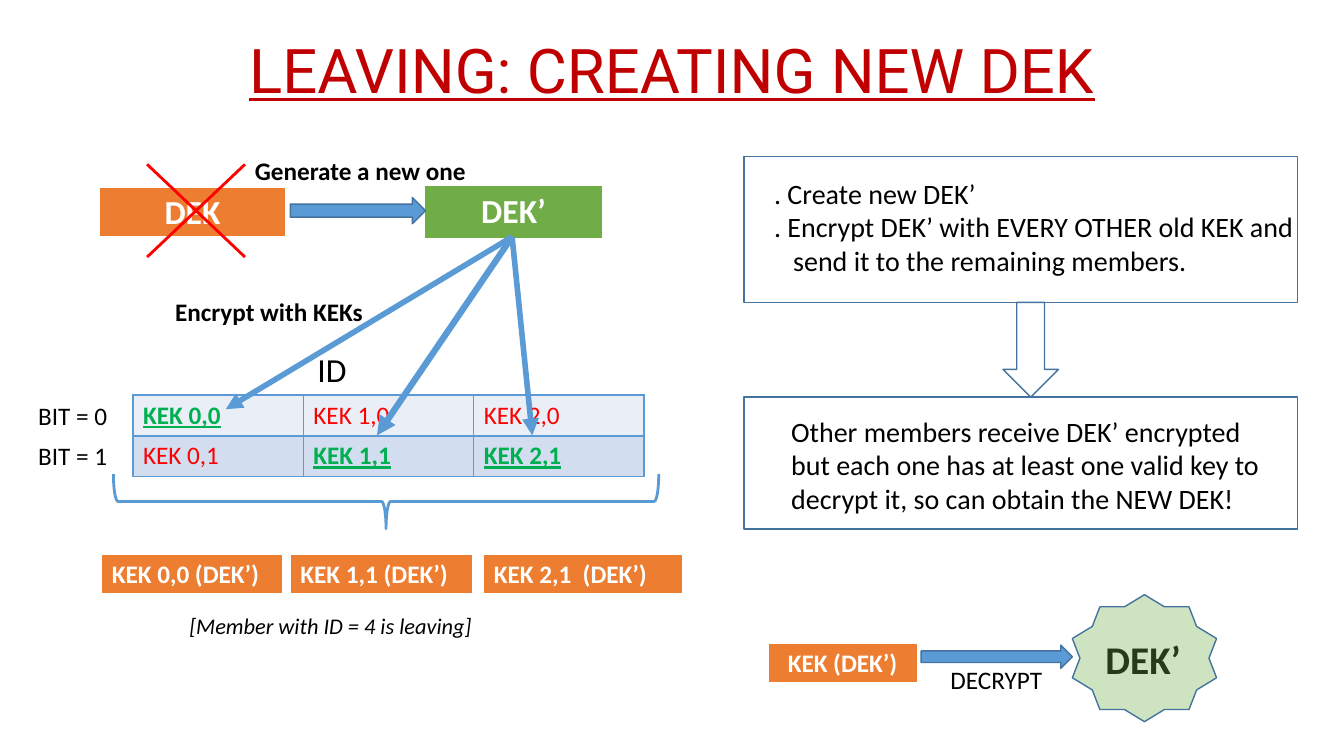
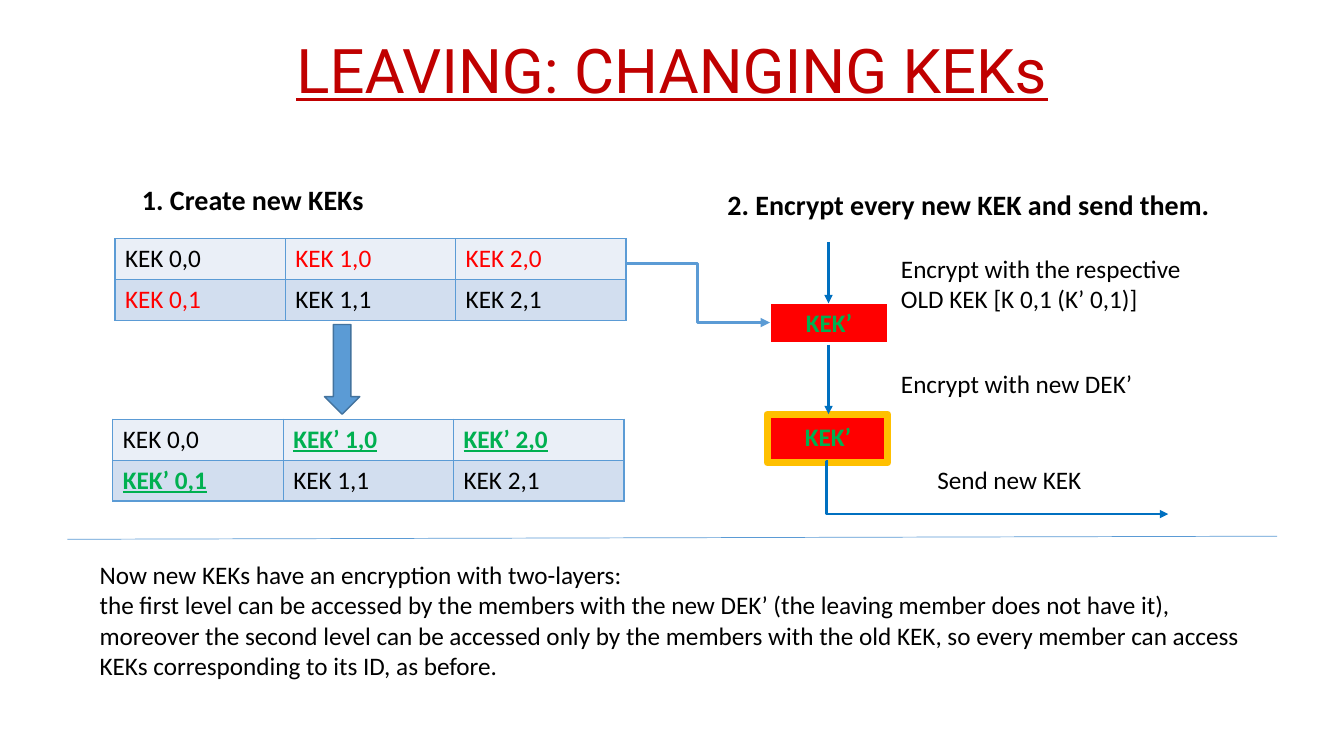
"""Build two slides on key renewal when a member leaves a group."""
from dataclasses import dataclass

from lxml import etree
from pptx import Presentation
from pptx.dml.color import RGBColor
from pptx.enum.shapes import MSO_CONNECTOR, MSO_SHAPE
from pptx.enum.text import MSO_ANCHOR, PP_ALIGN
from pptx.oxml.ns import qn
from pptx.util import Pt

LEFT, CENTER = PP_ALIGN.LEFT, PP_ALIGN.CENTER
MIDDLE = MSO_ANCHOR.MIDDLE
STRAIGHT, ELBOW = MSO_CONNECTOR.STRAIGHT, MSO_CONNECTOR.ELBOW
RECT, STAR, BRACE = MSO_SHAPE.RECTANGLE, MSO_SHAPE.STAR_10_POINT, MSO_SHAPE.LEFT_BRACE
RIGHT_ARROW, DOWN_ARROW = MSO_SHAPE.RIGHT_ARROW, MSO_SHAPE.DOWN_ARROW


@dataclass(frozen=True)
class Theme:
    title_font: str = "Roboto"
    body_font: str = "Calibri"
    title_size: float = 44
    badge_size: float = 28
    key_size: float = 24
    lead_size: float = 20
    body_size: float = 18
    note_size: float = 16
    title: str = "C00000"
    text: str = "000000"
    white: str = "FFFFFF"
    red: str = "FF0000"
    valid: str = "00B050"
    blue: str = "5B9BD5"
    outline: str = "43739E"
    flow: str = "0070C0"
    orange: str = "ED7D31"
    green: str = "70AD47"
    gold: str = "FFC000"
    bands: tuple = ("EAEFF7", "D2DEEF")


T = Theme()
ROW, COLUMN = 29.2, 121.7
PLAIN = {}
REVOKED = dict(color=T.red)
VALID = dict(color=T.valid, bold=True, underline=True)
KEY = dict(size=T.key_size, color=T.white, bold=True, align=CENTER)
PAYLOAD = dict(color=T.white, bold=True)
RENEWED = dict(color=T.valid, bold=True, align=CENTER)
LEAD = dict(size=T.lead_size)
HEADING = dict(size=T.lead_size, bold=True)
BOLD = dict(bold=True)


def write(frame, text, size=T.body_size, color=T.text, bold=False, italic=False,
          underline=False, font=T.body_font, align=LEFT, spacing=None, hang=0):
    """Fill a frame, one paragraph a line; a vertical bar breaks a line inside one."""
    for index, line in enumerate(text.split("\n")):
        paragraph = frame.add_paragraph() if index else frame.paragraphs[0]
        paragraph.alignment = align
        if spacing:
            paragraph.line_spacing = spacing
        if hang:
            properties = paragraph._p.get_or_add_pPr()
            properties.set("marL", str(Pt(hang)))
            properties.set("indent", str(-Pt(hang)))
        for part, words in enumerate(line.split("|")):
            if part:
                paragraph.add_line_break()
            run = paragraph.add_run()
            run.text = words
            run.font.name, run.font.size = font, Pt(size)
            run.font.bold, run.font.italic, run.font.underline = bold, italic, underline
            run.font.color.rgb = RGBColor.from_string(color)


def child(parent, tag, **attributes):
    """Append a drawing element with the given attributes."""
    return etree.SubElement(parent, qn(tag), {k: str(v) for k, v in attributes.items()})


leaving = dict(
    title="LEAVING: CREATING NEW DEK",
    key_grids=[
        (95, 282.2, [[("KEK 0,0", VALID), ("KEK 1,0", REVOKED), ("KEK 2,0", REVOKED)],
                     [("KEK 0,1", REVOKED), ("KEK 1,1", VALID), ("KEK 2,1", VALID)]]),
    ],
    key_boxes=[
        (71.3, 133.9, 132.5, 36, "DEK", KEY, T.orange, T.white),
        (303.8, 133.2, 126, 36, "DEK’", KEY, T.green, T.green),
        (548.6, 459.4, 106.6, ROW, "KEK (DEK’)", dict(PAYLOAD, align=CENTER), T.orange, T.white),
        (72.7, 396, 128.9, ROW, "KEK 0,0 (DEK’)", PAYLOAD, T.orange, T.white),
        (207.4, 396, 130.3, ROW, "KEK 1,1 (DEK’)", PAYLOAD, T.orange, T.white),
        (345.6, 396, 141.8, ROW, "KEK 2,1  (DEK’)", PAYLOAD, T.orange, T.white),
    ],
    labels=[
        (545.8, 122.4, 392.4, 104.4, ". Create new DEK’\n. Encrypt DEK’ with EVERY OTHER old KEK and|"
         "send it to the remaining members.", dict(LEAD, hang=13.6)),
        (558, 292.3, 356.4, 79.9, "Other members receive DEK’ encrypted\n"
         "but each one has at least one valid key to\n"
         "decrypt it, so can obtain the NEW DEK!", LEAD),
        (782.6, 450, 69.1, 41, "DEK’", dict(size=T.badge_size, bold=True)),
        (20.2, 282.2, 70.6, 29, "BIT = 0", PLAIN),
        (20.2, 311, 70.6, 29, "BIT = 1", PLAIN),
        (219.6, 245.5, 35.3, 36, "ID", dict(size=T.key_size)),
        (671.8, 470.9, 80.6, 29, "DECRYPT", PLAIN),
        (128.2, 433.4, 218.9, 26.6, "[Member with ID = 4 is leaving]",
         dict(size=T.note_size, italic=True)),
        (175, 107.3, 166.3, 29, "Generate a new one", BOLD),
        (118, 208, 149.8, 29, "Encrypt with KEKs", BOLD),
    ],
    figures=[
        (DOWN_ARROW, 716.4, 216, 39.6, 67.7, None, 100, T.outline, 1, 0),
        (RIGHT_ARROW, 658, 460.8, 108, 16.6, T.blue, 100, T.outline, 1, 0),
        (RECT, 531.4, 111.6, 395.3, 104.4, None, 100, T.outline, 1, 0),
        (RECT, 531.4, 283.7, 395.3, 94.3, None, 100, T.outline, 1, 0),
        (STAR, 766, 424.8, 103, 90.7, T.green, 34, T.outline, 1, 0),
        (RIGHT_ARROW, 207.4, 141.1, 96.5, 18.7, T.blue, 100, T.outline, 1, 0),
        (BRACE, 256.3, 163.4, 38.9, 389.5, None, 100, T.blue, 2, 270),
    ],
    links=[
        (105.1, 117.4, 175, 183.6, T.red, 2, False, None),
        (105.1, 183.6, 175, 117.4, T.red, 2, False, None),
        (365.8, 169.2, 380.2, 311, T.blue, 4, True, None),
        (365.8, 169.2, 269.3, 311, T.blue, 4.5, True, None),
        (365.8, 169.2, 161.3, 292.3, T.blue, 4, True, None),
    ],
)

changing = dict(
    title="LEAVING: CHANGING KEKs",
    key_grids=[
        (82.1, 170.6, [[("KEK 0,0", PLAIN), ("KEK 1,0", REVOKED), ("KEK 2,0", REVOKED)],
                       [("KEK 0,1", REVOKED), ("KEK 1,1", PLAIN), ("KEK 2,1", PLAIN)]]),
        (80.6, 299.5, [[("KEK 0,0", PLAIN), ("KEK’ 1,0", VALID), ("KEK’ 2,0", VALID)],
                       [("KEK’ 0,1", VALID), ("KEK 1,1", PLAIN), ("KEK 2,1", PLAIN)]]),
    ],
    key_boxes=[
        (550, 216.7, 84.2, ROW, "KEK’", RENEWED, T.red, T.white),
        (549.4, 298.1, 84.2, 31.7, "KEK’", RENEWED, T.red, T.white),
    ],
    labels=[
        (94.3, 126.7, 174.2, 31.7, "1. Create new KEKs", HEADING),
        (512.6, 130.3, 362.2, 31.7, "2. Encrypt every new KEK and send them.", HEADING),
        (636.5, 177.1, 221, 51, "Encrypt with the respective\nOLD KEK [K 0,1 (K’ 0,1)]", PLAIN),
        (636.5, 259.2, 182.2, 29, "Encrypt with new DEK’", PLAIN),
        (662.4, 328.3, 118.8, 29, "Send new KEK", PLAIN),
        (64.1, 396, 832.3, 94.3, "Now new KEKs have an encryption with two-layers:\n"
         "the first level can be accessed by the members with the new DEK’ "
         "(the leaving member does not have it),\n"
         "moreover the second level can be accessed only by the members with the old KEK, "
         "so every member can access\n"
         "KEKs corresponding to its ID, as before.", PLAIN),
    ],
    figures=[
        (DOWN_ARROW, 231.8, 231.8, 25.2, 64.1, T.blue, 100, T.outline, 1, 0),
        (RECT, 547.9, 295.9, 86.4, 34.6, None, 100, T.gold, 5, 0),
    ],
    links=[
        (591.8, 172.8, 591.8, 216.7, T.flow, 2, True, None),
        (591.8, 246.2, 591.8, 295.9, T.flow, 2, True, None),
        (48.2, 385.2, 912.2, 383, T.blue, 0.5, False, None),
        (591.8, 329.8, 834.5, 367.2, T.flow, 2, True, -600),
        (446.4, 187.9, 550, 230.4, T.blue, 2.25, True, 50000),
    ],
)

deck = Presentation()
deck.slide_width, deck.slide_height = Pt(960), Pt(540)
blank = deck.slide_layouts[6]

for content in (leaving, changing):
    slide = deck.slides.add_slide(blank)
    shapes = slide.shapes

    title_frame = shapes.add_textbox(0, 0, Pt(960), Pt(104.4)).text_frame
    title_frame.word_wrap = True
    title_frame.vertical_anchor = MIDDLE
    write(title_frame, content["title"], size=T.title_size, color=T.title, underline=True,
          font=T.title_font, align=CENTER, spacing=0.9)

    grids = [(left, top, COLUMN, ROW, keys, T.bands, T.blue, 1)
             for left, top, keys in content["key_grids"]]
    grids += [(left, top, width, height, [[(text, style)]], (fill,), edge,
               3 if edge == T.white else 1)
              for left, top, width, height, text, style, fill, edge in content["key_boxes"]]
    for left, top, width, height, keys, fills, edge, bottom in grids:
        rows, columns = len(keys), len(keys[0])
        table = shapes.add_table(rows, columns, Pt(left), Pt(top),
                                 Pt(width * columns), Pt(height * rows)).table
        table.first_row = table.horz_banding = False
        for r, row in enumerate(keys):
            table.rows[r].height = Pt(height)
            for c, (text, style) in enumerate(row):
                cell = table.cell(r, c)
                write(cell.text_frame, text, **style)
                properties = cell._tc.get_or_add_tcPr()
                for side, weight in (("L", 1), ("R", 1), ("T", 1), ("B", bottom)):
                    border = child(properties, "a:ln" + side, w=Pt(weight))
                    child(child(border, "a:solidFill"), "a:srgbClr", val=edge)
                cell.fill.solid()
                cell.fill.fore_color.rgb = RGBColor.from_string(fills[r])

    for left, top, width, height, text, style in content["labels"]:
        label = shapes.add_textbox(Pt(left), Pt(top), Pt(width), Pt(height))
        label.text_frame.word_wrap = False
        write(label.text_frame, text, **style)

    for kind, left, top, width, height, fill, opacity, edge, weight, turn in content["figures"]:
        figure = shapes.add_shape(kind, Pt(left), Pt(top), Pt(width), Pt(height))
        figure.shadow.inherit = False
        figure.rotation = turn
        figure.line.color.rgb = RGBColor.from_string(edge)
        figure.line.width = Pt(weight)
        if fill:
            figure.fill.solid()
            figure.fill.fore_color.rgb = RGBColor.from_string(fill)
        else:
            figure.fill.background()
        if opacity < 100:
            tint = figure._element.spPr.find(qn("a:solidFill")).find(qn("a:srgbClr"))
            child(tint, "a:alpha", val=opacity * 1000)

    for x1, y1, x2, y2, color, weight, arrow, bend in content["links"]:
        link = shapes.add_connector(STRAIGHT if bend is None else ELBOW,
                                    Pt(x1), Pt(y1), Pt(x2), Pt(y2))
        link.line.color.rgb = RGBColor.from_string(color)
        link.line.width = Pt(weight)
        properties = link._element.spPr
        if arrow:
            child(properties.find(qn("a:ln")), "a:tailEnd", type="triangle")
        if bend is not None:
            guides = properties.find(qn("a:prstGeom")).find(qn("a:avLst"))
            child(guides, "a:gd", name="adj1", fmla=f"val {bend}")
        child(properties, "a:effectLst")

deck.save("out.pptx")
